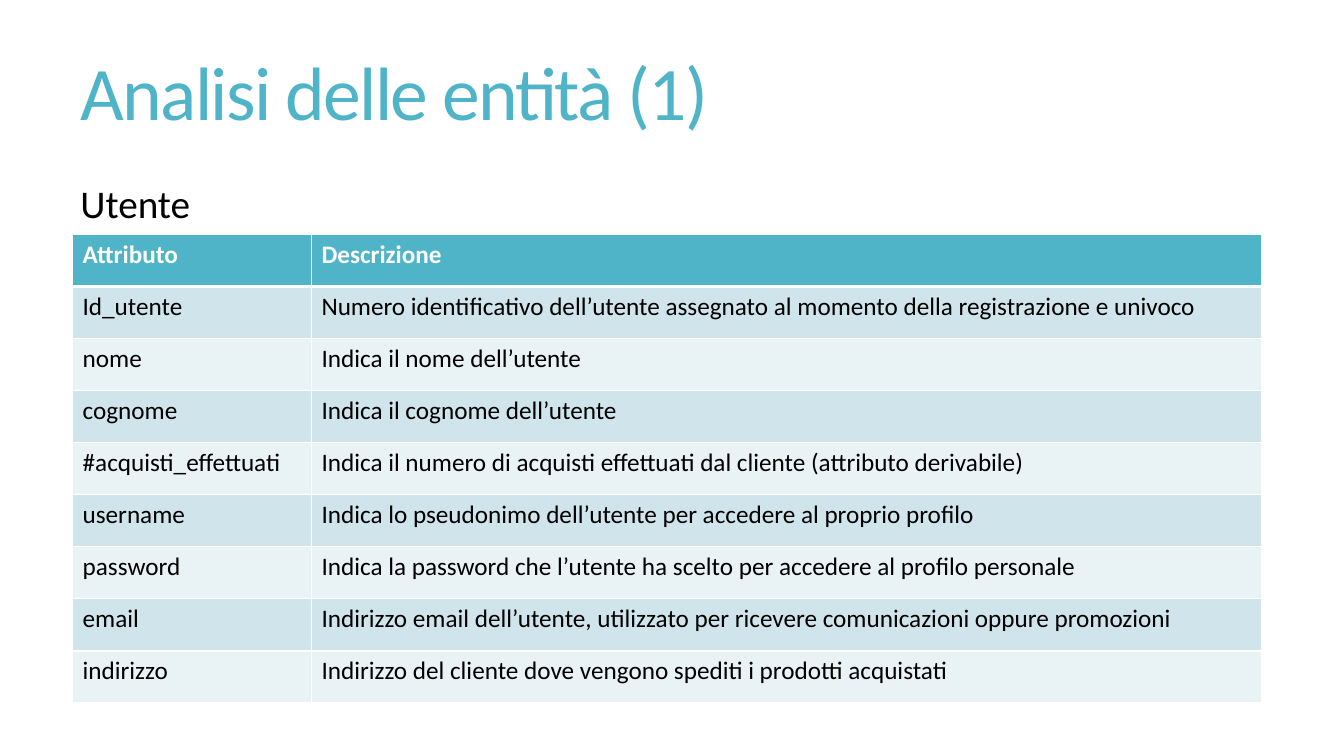
import pptx
import pptx.util
import pptx.dml.color
import pptx.enum.text
import pptx.oxml.ns
import lxml.etree

Pt = pptx.util.Pt
TITLE = "Analisi delle entità (1)"
ENTITY = "Utente"
ROWS = [
    ("Attributo", "Descrizione"),
    ("Id_utente", "Numero identificativo dell’utente assegnato al momento della registrazione e univoco"),
    ("nome", "Indica il nome dell’utente"),
    ("cognome", "Indica il cognome dell’utente"),
    ("#acquisti_effettuati", "Indica il numero di acquisti effettuati dal cliente (attributo derivabile)"),
    ("username", "Indica lo pseudonimo dell’utente per accedere al proprio profilo"),
    ("password", "Indica la password che l’utente ha scelto per accedere al profilo personale"),
    ("email", "Indirizzo email dell’utente, utilizzato per ricevere comunicazioni oppure promozioni"),
    ("indirizzo", "Indirizzo del cliente dove vengono spediti i prodotti acquistati"),
]
TEAL, WHITE, BLACK = "50B4C8", "FFFFFF", "000000"
BANDS = ("E9F2F5", "D0E5EB")
WIDTHS = (170.64, 678.96)
HIGH = 37.2


def color(code):
    return pptx.dml.color.RGBColor.from_string(code)


def write(frame, text, size=18, ink=BLACK, bold=False):
    para = frame.paragraphs[0]
    para.alignment = pptx.enum.text.PP_ALIGN.LEFT
    run = para.add_run()
    run.text = text
    run.font.name = "Calibri"
    run.font.size = Pt(size)
    run.font.bold = bold
    run.font.color.rgb = color(ink)
    return para, run


def edge(cell, side, width):
    qn = pptx.oxml.ns.qn
    props = cell._tc.get_or_add_tcPr()
    line = lxml.etree.SubElement(props, qn("a:ln" + side), w=str(Pt(width)))
    fill = lxml.etree.SubElement(line, qn("a:solidFill"))
    lxml.etree.SubElement(fill, qn("a:srgbClr"), val=WHITE)


def main():
    deck = pptx.Presentation()
    deck.slide_width, deck.slide_height = Pt(960), Pt(540)
    slide = deck.slides.add_slide(deck.slide_layouts[5])

    # Title
    title = slide.shapes.title
    title.left, title.top, title.width, title.height = Pt(50.4), Pt(14.4), Pt(848), Pt(110)
    title.text_frame.vertical_anchor = pptx.enum.text.MSO_ANCHOR.MIDDLE
    para, run = write(title.text_frame, TITLE, size=54, ink=TEAL)
    para.line_spacing = 0.85
    run.font._element.set("spc", "-120")

    # Attribute table
    grid = slide.shapes.add_table(len(ROWS), len(WIDTHS), Pt(51.84), Pt(167.4),
                                  Pt(sum(WIDTHS)), Pt(HIGH * len(ROWS))).table
    for col, width in zip(grid.columns, WIDTHS):
        col.width = Pt(width)
    for i, texts in enumerate(ROWS):
        grid.rows[i].height = Pt(HIGH)
        head = i == 0
        for j, text in enumerate(texts):
            cell = grid.cell(i, j)
            for side in "LRTB":
                # A thick rule parts the header from the body
                thick = (side == "B" and i == 0) or (side == "T" and i == 1)
                edge(cell, side, 3 if thick else 1)
            cell.fill.solid()
            cell.fill.fore_color.rgb = color(TEAL if head else BANDS[i % 2])
            write(cell.text_frame, text, ink=WHITE if head else BLACK, bold=head)

    # Entity name
    label = slide.shapes.add_textbox(Pt(50.4), Pt(124.6), Pt(92.9), Pt(41))
    label.text_frame.word_wrap = False
    label.text_frame.auto_size = pptx.enum.text.MSO_AUTO_SIZE.SHAPE_TO_FIT_TEXT
    write(label.text_frame, ENTITY, size=28)

    deck.save("out.pptx")


if __name__ == "__main__":
    main()
